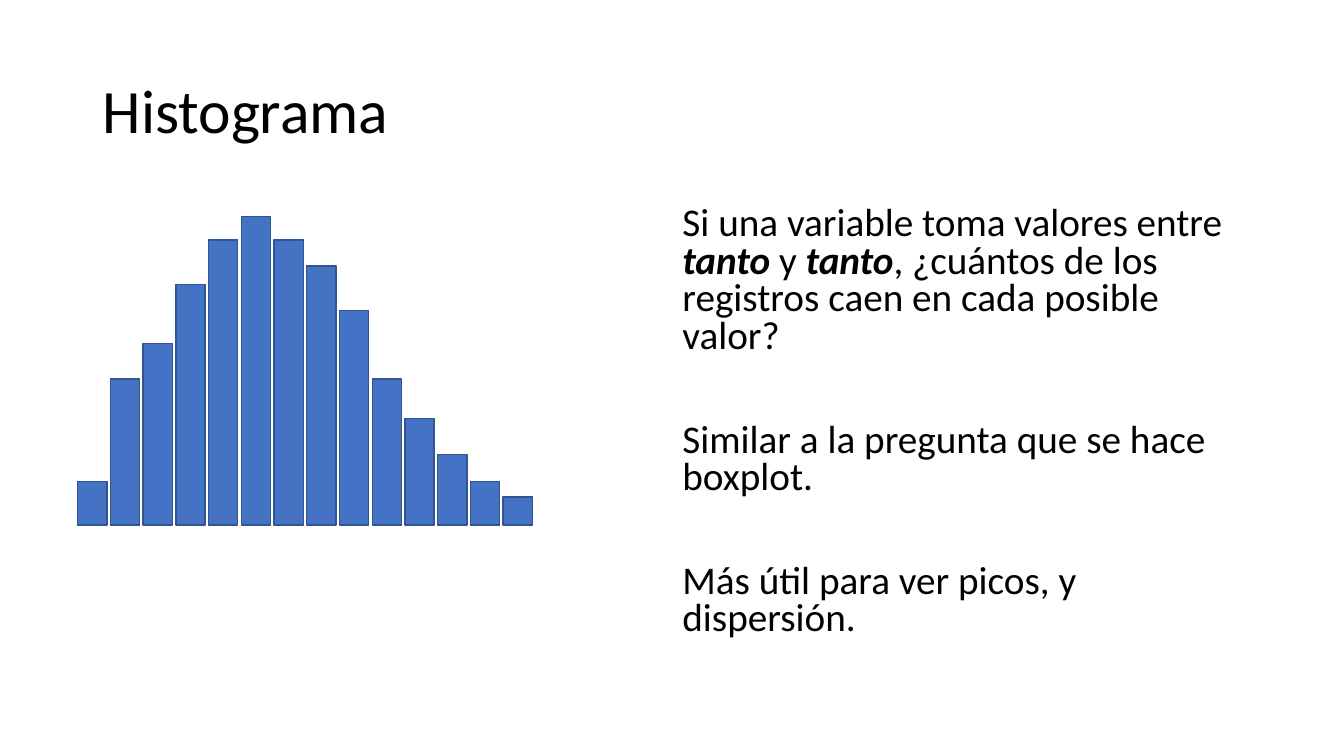
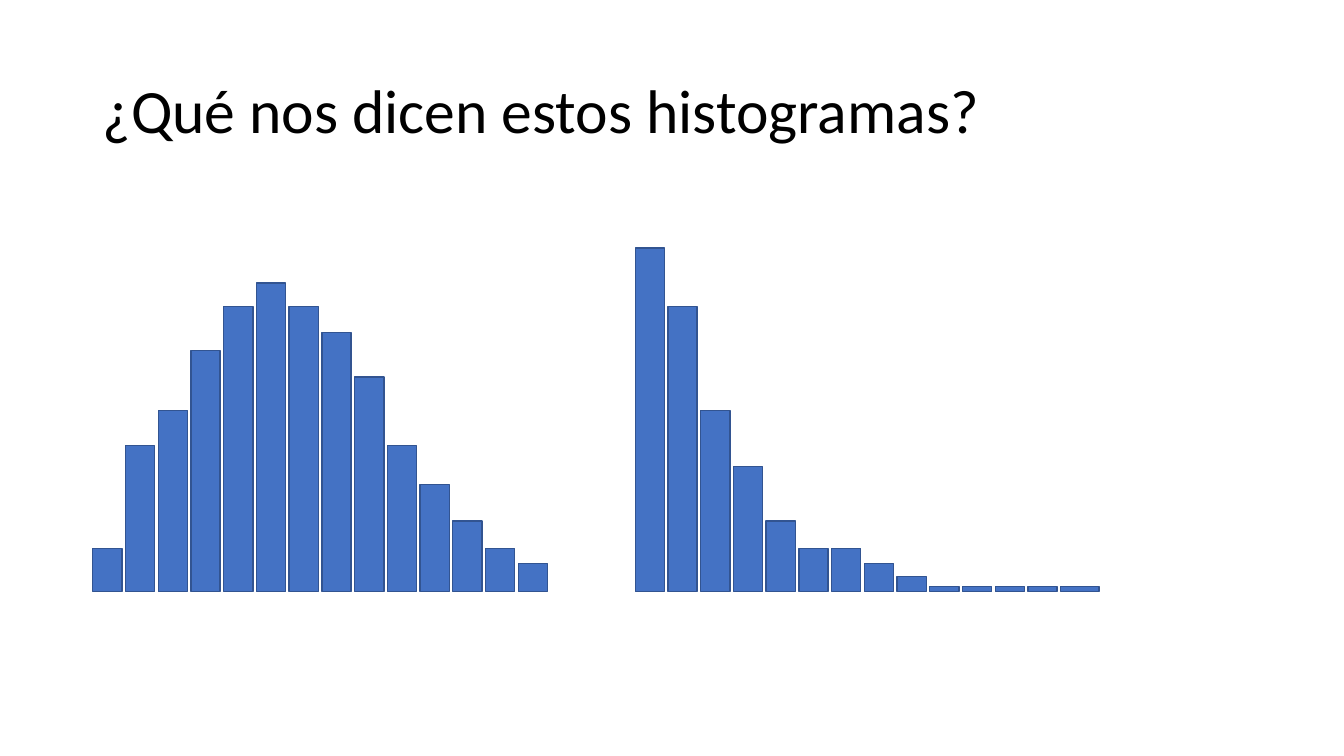
import pptx
import pptx.dml.color
import pptx.enum.shapes
import pptx.enum.text
import pptx.util

Inches = pptx.util.Inches
Pt = pptx.util.Pt

FONT, INK, FILL, EDGE = "Calibri", "000000", "4472C4", "325491"
BAR, SPAN = 0.29, 4.51  # bar width; full width of a histogram

BELL = [0.43, 1.45, 1.8, 2.39, 2.83, 3.06, 2.83,
        2.57, 2.13, 1.45, 1.06, 0.7, 0.43, 0.28]
TAIL = [3.41, 2.83, 1.8, 1.24, 0.7, 0.43, 0.43,
        0.28, 0.15, 0.05, 0.05, 0.05, 0.05, 0.05]

# A paragraph is a list of (text, strong) runs.
NOTES = [
    [("Si una variable toma valores entre ", False), ("tanto", True),
     (" y ", False), ("tanto", True),
     (", ¿cuántos de los registros caen en cada posible valor?", False)],
    [("Similar a la pregunta que se hace boxplot.", False)],
    [("Más útil para ver picos, y dispersión.", False)],
]

# Each plot: left, base line, heights, width of the last bar.
SLIDES = [
    {"title": "Histograma", "notes": NOTES,
     "plots": [(0.77, 5.21, BELL, BAR)]},
    {"title": "¿Qué nos dicen estos histogramas?", "notes": [],
     "plots": [(0.92, 5.87, BELL, BAR), (6.3, 5.87, TAIL, 0.38)]},
]


def color(code):
    return pptx.dml.color.RGBColor.from_string(code)


def add_text(slide, box, paras, size, line=1.0, gap=0, anchor="TOP"):
    """Write paragraphs of (text, strong) runs, with gap points between them."""
    frame = slide.shapes.add_textbox(*map(Inches, box)).text_frame
    frame.word_wrap = True
    frame.vertical_anchor = pptx.enum.text.MSO_ANCHOR[anchor]
    for i, runs in enumerate(paras):
        para = frame.add_paragraph() if i else frame.paragraphs[0]
        para.line_spacing = line
        para.space_before = Pt(gap if i else 0)
        for text, strong in runs:
            run = para.add_run()
            run.text = text
            font = run.font
            font.name, font.size = FONT, Pt(size)
            font.bold = font.italic = strong
            font.color.rgb = color(INK)


def add_plot(slide, left, base, heights, last):
    step = (SPAN - BAR) / (len(heights) - 1)
    for i, high in enumerate(heights):
        wide = last if i == len(heights) - 1 else BAR
        bar = slide.shapes.add_shape(
            pptx.enum.shapes.MSO_SHAPE.RECTANGLE, Inches(left + i * step),
            Inches(base - high), Inches(wide), Inches(high))
        bar.shadow.inherit = False
        bar.fill.solid()
        bar.fill.fore_color.rgb = color(FILL)
        bar.line.color.rgb = color(EDGE)
        bar.line.width = Pt(1)


def main():
    deck = pptx.Presentation()
    deck.slide_width, deck.slide_height = Inches(13.33), Inches(7.5)
    for page in SLIDES:
        slide = deck.slides.add_slide(deck.slide_layouts[6])
        add_text(slide, (0.92, 0.4, 11.5, 1.45), [[(page["title"], False)]],
                 size=44, line=0.9, anchor="MIDDLE")
        if page["notes"]:
            add_text(slide, (6.67, 2, 5.75, 4.76), page["notes"],
                     size=28, line=0.8, gap=47)
        for plot in page["plots"]:
            add_plot(slide, *plot)
    deck.save("out.pptx")


if __name__ == "__main__":
    main()
